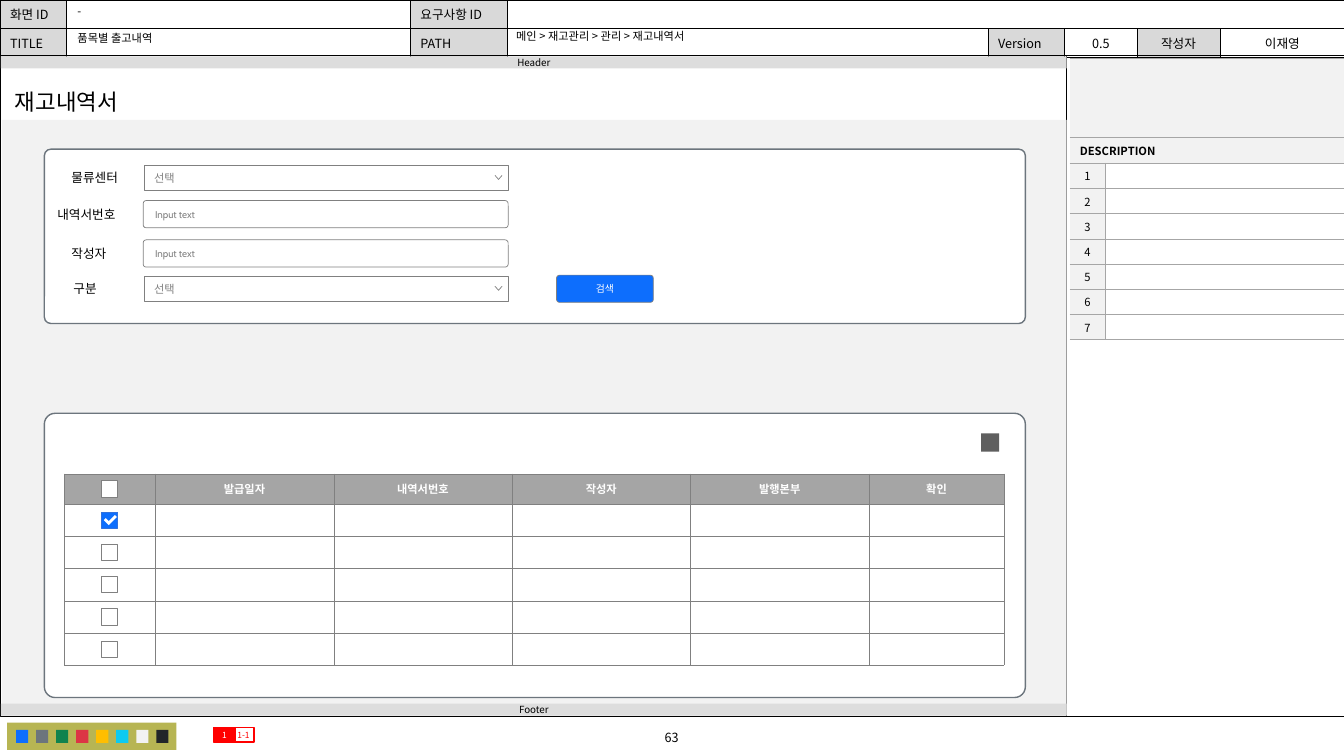
from dataclasses import dataclass

from lxml import etree
from pptx import Presentation
from pptx.dml.color import RGBColor
from pptx.enum import shapes, text
from pptx.oxml import ns
from pptx.util import Inches, Pt


@dataclass(frozen=True)
class Theme:
    sans: str = "Noto Sans CJK KR"
    field_font: str = "Cabin"
    black: str = "000000"
    white: str = "FFFFFF"
    label_fill: str = "D9D9D9"
    bar: str = "DDDDDD"
    canvas: str = "F2F2F2"
    rule: str = "A6A6A6"
    grid_head: str = "A5A5A5"
    gray: str = "808080"
    slate: str = "6C757D"
    blue: str = "0D6EFD"
    blue_edge: str = "3272DD"
    red: str = "FF0000"
    icon: str = "5F5F5F"
    olive: str = "B7B553"
    swatches: tuple = ("0D6EFD", "6C757D", "10834E", "DC3545", "FFBE00", "0DCAF0", "F2F2F2", "212529")
    title: int = 16
    label: int = 9
    body: int = 8
    small: int = 7
    tiny: int = 6


T = Theme()
LEFT, CENTER = text.PP_ALIGN.LEFT, text.PP_ALIGN.CENTER
TOP, MIDDLE = text.MSO_ANCHOR.TOP, text.MSO_ANCHOR.MIDDLE
RECT, ROUND = shapes.MSO_SHAPE.RECTANGLE, shapes.MSO_SHAPE.ROUNDED_RECTANGLE
PAD = (0.1, 0.05, 0.1, 0.05)


def set_all(target, values):
    for name, value in values.items():
        setattr(target, name, value)


def margins(pad):
    sides = ("margin_left", "margin_top", "margin_right", "margin_bottom")
    return {side: Inches(size) for side, size in zip(sides, pad)}


def write(frame, words, size, color=T.black, align=LEFT, font=T.sans, bold=False, spacing=None):
    paragraph = frame.paragraphs[0]
    set_all(paragraph, {"alignment": align, "line_spacing": spacing})
    run = paragraph.add_run()
    run.text = words
    set_all(run.font, {"size": Pt(size), "name": font, "bold": bold})
    run.font.color.rgb = RGBColor.from_string(color)
    etree.SubElement(run.font._element, ns.qn("a:ea"), typeface=T.sans)


def paint(shape, fill, line, width):
    shape.shadow.inherit = False
    if fill:
        shape.fill.solid()
        shape.fill.fore_color.rgb = RGBColor.from_string(fill)
    else:
        shape.fill.background()
    if line:
        shape.line.color.rgb = RGBColor.from_string(line)
        shape.line.width = Pt(width)
    else:
        shape.line.fill.background()


def block(slide, box, fill=None, line=None, width=0.5, kind=RECT, corner=None, words="", pad=PAD, **look):
    shape = slide.shapes.add_shape(kind, *map(Inches, box))
    paint(shape, fill, line, width)
    if corner is not None:
        shape.adjustments[0] = corner
    if words:
        set_all(shape.text_frame, {"word_wrap": True, "vertical_anchor": MIDDLE, **margins(pad)})
        write(shape.text_frame, words, **{"align": CENTER, **look})


def label(slide, box, words, size, wrap=True, **look):
    frame = slide.shapes.add_textbox(*map(Inches, box)).text_frame
    set_all(frame, {"word_wrap": wrap, "vertical_anchor": TOP, **margins(PAD)})
    write(frame, words, size, **look)


def outline(slide, left, top, points, fill, line=None, close=True):
    (x, y), *rest = [(Inches(left + dx), Inches(top + dy)) for dx, dy in points]
    builder = slide.shapes.build_freeform(x, y)
    builder.add_line_segments(rest, close=close)
    paint(builder.convert_to_shape(), fill, line, 0.5)


def new_table(slide, left, top, columns, rows):
    box = (left, top, sum(columns), sum(rows))
    table = slide.shapes.add_table(len(rows), len(columns), *map(Inches, box)).table
    set_all(table, {"first_row": False, "horz_banding": False})
    for column, width in zip(table.columns, columns):
        column.width = Inches(width)
    for row, height in zip(table.rows, rows):
        row.height = Inches(height)
    return table


def fill_cell(cell, fill, line, width, sides="LRTB", words="", pad=PAD, **look):
    """Draw the named sides, then the fill and the words of a cell."""
    set_all(cell, {"vertical_anchor": MIDDLE, **margins(pad)})
    properties = cell._tc.get_or_add_tcPr()
    for side in "LRTB":
        edge = etree.SubElement(properties, ns.qn(f"a:ln{side}"), w=str(Pt(width)))
        if side in sides:
            solid = etree.SubElement(edge, ns.qn("a:solidFill"))
            etree.SubElement(solid, ns.qn("a:srgbClr"), val=line)
        else:
            etree.SubElement(edge, ns.qn("a:noFill"))
    cell.fill.solid()
    cell.fill.fore_color.rgb = RGBColor.from_string(fill)
    if words:
        write(cell.text_frame, words, **look)
    else:
        etree.SubElement(cell.text_frame.paragraphs[0]._p, ns.qn("a:endParaRPr"), sz="800")


def document_header(slide, left, top):
    columns = (0.66, 3.41, 0.96, 4.77, 0.76, 0.72, 0.82, 1.24)
    entries = (("화면 ID", "", "요구사항 ID", "", "", "", "", ""),
               ("TITLE", "", "PATH", "", "Version", "0.5", "작성자", "이재영"))
    table = new_table(slide, left, top, columns, (0.28, 0.28))
    table.cell(0, 3).merge(table.cell(0, 7))
    for r, entry in enumerate(entries):
        for c, words in enumerate(entry):
            shaded = c % 2 == 0 and words
            fill_cell(table.cell(r, c), T.label_fill if shaded else T.white, T.black, 0.5,
                      words=words, size=T.label, align=CENTER if c > 4 else LEFT)


def header_entries(slide, left, top):
    for dx, dy, width, words in ((5.02, 0.26, 4.74, "메인 > 재고관리 > 관리 > 재고내역서"),
                                 (0.67, 0.01, 3.4, "-"),
                                 (0.67, 0.28, 3.38, "품목별 출고내역")):
        label(slide, (left + dx, top + dy, width, 0.23), words, T.body, spacing=0.9)


def page_frame(slide, left, top, width, height):
    block(slide, (left, top, 13.33, height), line=T.black, width=0.25)
    divider = slide.shapes.add_connector(shapes.MSO_CONNECTOR.STRAIGHT, *map(
        Inches, (left + width, top, left + width, top + height)))
    divider.line.color.rgb = RGBColor.from_string(T.black)
    divider.line.width = Pt(0.5)
    etree.SubElement(divider._element.spPr, ns.qn("a:effectLst"))
    block(slide, (left + 0.02, top + 0.64, width - 0.02, height - 0.65), T.canvas)
    for words, dy in (("Footer", height - 0.13), ("Header", 0.01)):
        block(slide, (left + 0.01, top + dy, width - 0.01, 0.12), T.bar, words=words, size=T.small)
    label(slide, (left + 0.05, top + 0.28, 1.32, 0.37), "재고내역서", T.title, wrap=False)


def page_foot(slide, left, top):
    label(slide, (left + 5.37, top + 0.02, 2.58, 0.25), "63", T.label, align=CENTER)
    block(slide, (left + 0.07, top, 1.68, 0.27), T.olive)
    for i, color in enumerate(T.swatches):
        block(slide, (left + 0.16 + i * 1.39 / 7, top + 0.07, 0.12, 0.13), color)
    for words, dx, fill, ink in (("1-1", 2.31, None, T.red), ("1", 2.12, T.red, T.white)):
        block(slide, (left + dx, top + 0.05, 0.21, 0.14), fill, T.red, 1, words=words,
              pad=(0, 0, 0, 0), size=T.tiny, color=ink)


def description_panel(slide, left, top):
    table = new_table(slide, left, top, (0.35, 2.37), (0.78, 0.26) + (0.25,) * 7)
    for r in range(9):
        if r < 2:
            table.cell(r, 0).merge(table.cell(r, 1))
        words = "DESCRIPTION" if r == 1 else str(r - 1) if r > 1 else ""
        numbered = r > 1
        fill_cell(table.cell(r, 0), T.canvas, T.rule, 0.5, "RTB" if numbered else "TB", words,
                  pad=(0, 0, 0, 0) if numbered else PAD, size=T.body, bold=not numbered,
                  align=CENTER if numbered else LEFT)
        fill_cell(table.cell(r, 1), T.white if numbered else T.canvas, T.rule, 0.5,
                  "LTB" if numbered else "TB")


def panel(slide, box):
    block(slide, box, T.white, T.slate, 1, ROUND, 0.038)


def dropdown(slide, left, top):
    block(slide, (left, top, 3.61, 0.25), T.white, T.gray, words="선택", pad=(0.1, 0.06, 0.28, 0.06),
          size=T.body, color=T.gray, font=T.field_font, align=LEFT)
    outline(slide, left + 3.48, top + 0.1, ((0.07, 0), (0.035, 0.04), (0, 0)), T.white, T.gray, False)


def rounded_field(slide, box, words, fill, ink, align):
    block(slide, box, fill, T.gray, kind=ROUND, corner=0.108, words=words,
          pad=(0.11, 0.07, 0.11, 0.07), size=T.small, color=ink, font=T.field_font, align=align)


def search_panel(slide, left, top, width, height):
    panel(slide, (left, top, width, height))
    for words, dx, dy, is_choice in (("물류센터", 0.17, 0.16, True), ("내역서번호", 0.03, 0.52, False),
                                     ("작성자", 0.17, 0.91, False), ("구분", 0.19, 1.26, True)):
        label(slide, (left + dx, top + dy, 0.91, 0.25), words, T.label)
        if is_choice:
            dropdown(slide, left + 0.99, top + dy)
        else:
            rounded_field(slide, (left + 0.98, top + dy - 0.01, 3.62, 0.27), "Input text", T.white, T.gray, LEFT)
    rounded_field(slide, (left + 5.08, top + 1.25, 0.96, 0.27), "검색", T.blue, T.white, CENTER)


def checkbox(slide, left, top, checked):
    block(slide, (left, top, 0.16, 0.16), T.blue if checked else T.white, T.blue_edge if checked else T.gray)
    if checked:
        tick = ((0.13, 0.03), (0.07, 0.09), (0.04, 0.06), (0.02, 0.08), (0.07, 0.13), (0.15, 0.05))
        outline(slide, left, top, tick, T.white)


def results_panel(slide, left, top, width, height):
    panel(slide, (left, top, width, height))
    block(slide, (left + 9.29, top + 0.2, 0.18, 0.18), T.icon)
    heads = ("", "발급일자", "내역서번호", "작성자", "발행본부", "확인")
    columns, rows = (0.9, 1.77, 1.77, 1.77, 1.77, 1.34), (0.3,) + (0.32,) * 5
    x, y = left + 0.2, top + 0.6
    table = new_table(slide, x, y, columns, rows)
    for r, row_height in enumerate(rows):
        for c, head in enumerate(heads):
            fill_cell(table.cell(r, c), T.white if r else T.grid_head, T.gray, 0.25,
                      words="" if r else head, pad=(0.06, 0.04, 0.06, 0.04), size=T.body,
                      color=T.white, align=CENTER, bold=True)
        checkbox(slide, x + 0.37, y + sum(rows[:r]) + (row_height - 0.16) / 2, r == 1)


def main():
    deck = Presentation()
    set_all(deck, {"slide_width": Inches(13.33), "slide_height": Inches(7.5)})
    slide = deck.slides.add_slide(deck.slide_layouts[6])
    document_header(slide, 0, 0)
    page_frame(slide, 0, 0.55, 10.58, 6.56)
    page_foot(slide, 0, 7.17)
    description_panel(slide, 10.61, 0.58)
    header_entries(slide, 0, 0)
    results_panel(slide, 0.44, 4.1, 9.73, 2.82)
    search_panel(slide, 0.44, 1.48, 9.73, 1.73)
    deck.save("out.pptx")


if __name__ == "__main__":
    main()
